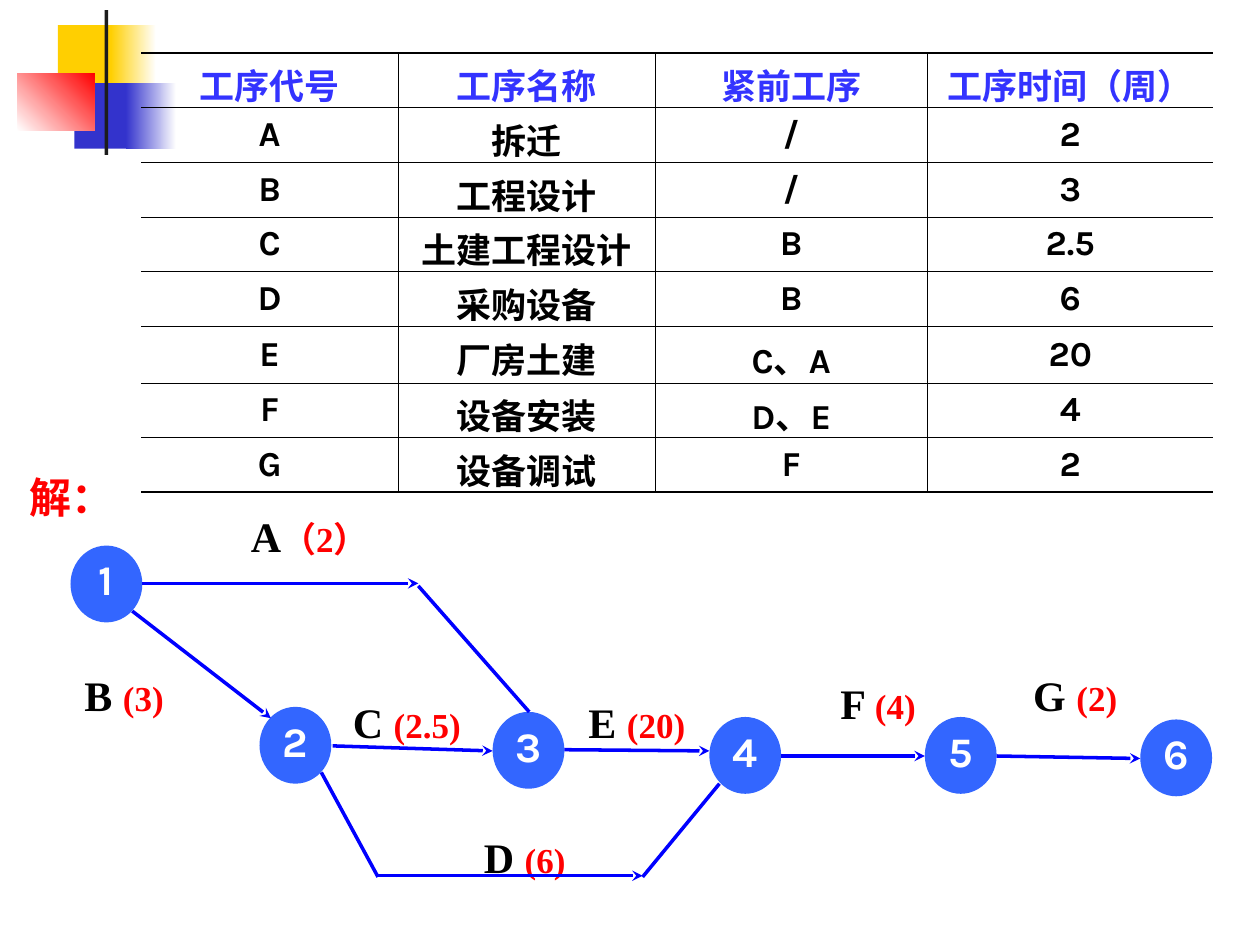
from dataclasses import dataclass

from lxml import etree
from pptx import Presentation
from pptx import util as u
from pptx.dml.color import RGBColor
from pptx.enum import shapes, text
from pptx.oxml import ns


@dataclass(frozen=True)
class Theme:
    black: str = "000000"
    white: str = "FFFFFF"
    red: str = "FF0000"
    yellow: str = "FFCF01"
    indigo: str = "3333CC"
    bar: str = "1C1C1C"
    node: str = "3366FF"
    arrow: str = "0000FF"
    header: str = "3333FF"
    sans: str = "Karla"
    serif: str = "Times New Roman"
    large: int = 24
    small: int = 20
    arrow_width: float = 2
    thin: float = 0.45
    thick: float = 1.08


COLUMNS, ROWS = 100, 75
NODE_WIDTH, NODE_HEIGHT = 5.7, 6.1
LABEL_HEIGHT = 6.4


def apply(target, values):
    for key, value in values.items():
        setattr(target, key, value)


def child(parent, tag, **attributes):
    return etree.SubElement(parent, ns.qn(tag), attributes)


class Board:
    def __init__(self, deck, theme):
        self.theme = theme
        self.column = deck.slide_width / COLUMNS
        self.row = deck.slide_height / ROWS
        self.slide = deck.slides.add_slide(deck.slide_layouts[6])

    def x(self, columns):
        return round(columns * self.column)

    def y(self, rows):
        return round(rows * self.row)

    def area(self, left, top, width, height):
        return self.x(left), self.y(top), self.x(width), self.y(height)

    def frame(self, frame, **values):
        margins = dict.fromkeys(("margin_left", "margin_right", "margin_top", "margin_bottom"), 0)
        apply(frame, margins | values)

    def words(self, paragraph, wording, color, size, font):
        run = paragraph.add_run()
        run.text = wording
        apply(run.font, {"name": font, "size": u.Pt(size), "bold": True})
        run.font.color.rgb = RGBColor.from_string(color)

    def shape(self, place, color, fade_to=None, angle=0, kind=shapes.MSO_SHAPE.RECTANGLE):
        shape = self.slide.shapes.add_shape(kind, *self.area(*place))
        shape.shadow.inherit = False
        shape.line.fill.background()
        if fade_to:
            shape.fill.gradient()
            shape.fill.gradient_angle = angle
            for stop, tint, position in zip(shape.fill.gradient_stops, (color, fade_to), (0, 1)):
                stop.color.rgb = RGBColor.from_string(tint)
                stop.position = position
        else:
            shape.fill.solid()
            shape.fill.fore_color.rgb = RGBColor.from_string(color)
        return shape

    def node(self, number, left, top):
        theme = self.theme
        place = left, top, NODE_WIDTH, NODE_HEIGHT
        node = self.shape(place, theme.node, kind=shapes.MSO_SHAPE.OVAL)
        self.frame(node.text_frame, margin_bottom=self.y(0.8), word_wrap=False,
                   vertical_anchor=text.MSO_ANCHOR.MIDDLE)
        paragraph = node.text_frame.paragraphs[0]
        paragraph.alignment = text.PP_ALIGN.CENTER
        self.words(paragraph, str(number), theme.white, theme.large, theme.sans)

    def label(self, activity, weeks, left, top, width):
        theme = self.theme
        box = self.slide.shapes.add_textbox(*self.area(left, top, width, LABEL_HEIGHT))
        self.frame(box.text_frame, margin_top=self.y(0.4), word_wrap=True)
        paragraph = box.text_frame.paragraphs[0]
        self.words(paragraph, activity, theme.black, theme.large, theme.serif)
        self.words(paragraph, weeks, theme.red, theme.small, theme.serif)

    def heading(self, wording, place):
        theme = self.theme
        box = self.slide.shapes.add_textbox(*self.area(*place))
        self.frame(box.text_frame, margin_bottom=self.y(0.8), word_wrap=False)
        paragraph = box.text_frame.paragraphs[0]
        paragraph.alignment = text.PP_ALIGN.CENTER
        self.words(paragraph, wording, theme.red, theme.large, theme.sans)

    def edge(self, start, end, arrow=True):
        edge = self.slide.shapes.add_connector(
            shapes.MSO_CONNECTOR.STRAIGHT,
            self.x(start[0]), self.y(start[1]), self.x(end[0]), self.y(end[1]))
        edge.line.color.rgb = RGBColor.from_string(self.theme.arrow)
        edge.line.width = u.Pt(self.theme.arrow_width)
        if arrow:
            child(edge.get_or_add_ln(), "a:tailEnd", type="stealth")
        child(edge._element.spPr, "a:effectLst")

    def border(self, cell, side, width):
        properties = cell._tc.get_or_add_tcPr()
        line = child(properties, f"a:ln{side}", w=str(u.Pt(width)))
        if width:
            child(child(line, "a:solidFill"), "a:srgbClr", val=self.theme.black)
        else:
            child(line, "a:noFill")

    def table(self, records, place, widths, heights):
        theme = self.theme
        table = self.slide.shapes.add_table(
            len(records), len(widths), *self.area(*place)).table
        apply(table, {"first_row": False, "horz_banding": False})
        for column, width in zip(table.columns, widths):
            column.width = self.x(width)
        for row, height in zip(table.rows, heights):
            row.height = self.y(height)
        last_row, last_column = len(records) - 1, len(widths) - 1
        for r, record in enumerate(records):
            for c, wording in enumerate(record):
                cell = table.cell(r, c)
                sides = {
                    "L": theme.thin if c else 0,
                    "R": theme.thin if c < last_column else 0,
                    "T": theme.thin if r else theme.thick,
                    "B": theme.thin if r < last_row else theme.thick,
                }
                for side, width in sides.items():
                    self.border(cell, side, width)
                cell.fill.background()
                cell.vertical_anchor = text.MSO_ANCHOR.MIDDLE
                paragraph = cell.text_frame.paragraphs[0]
                paragraph.alignment = text.PP_ALIGN.CENTER
                color = theme.black if r else theme.header
                self.words(paragraph, wording, color, theme.small, theme.sans)


ACTIVITIES = [
    ("工序代号", "工序名称", "紧前工序", "工序时间（周）"),
    ("A", "拆迁", "/", "2"),
    ("B", "工程设计", "/", "3"),
    ("C", "土建工程设计", "B", "2.5"),
    ("D", "采购设备", "B", "6"),
    ("E", "厂房土建", "C、A", "20"),
    ("F", "设备安装", "D、E", "4"),
    ("G", "设备调试", "F", "2"),
]
EVENTS = [(5.6, 43.3), (20.6, 56.1), (39.1, 56.5), (56.3, 56.9), (73.4, 56.9), (90.5, 57.1)]
DURATIONS = [
    ("A", "（2）", 19.9, 40.1, 10.1), ("B ", "(3)", 6.7, 52.7, 9.3),
    ("C ", "(2.5)", 28, 54.9, 10.5), ("D ", "(6)", 38.4, 65.6, 9),
    ("E ", "(20)", 46.7, 54.9, 8.5), ("F ", "(4)", 66.7, 53.4, 6.7),
    ("G ", "(2)", 82, 52.7, 8.5),
]
ARROWS = [
    ((10.5, 48.5), (21.5, 57)), ((26.4, 59.2), (39.1, 59.6)),
    ((62, 60), (73.4, 60)), ((79.1, 60), (90.5, 60.2)),
    ((30, 69.5), (51, 69.5)), ((11.3, 46.3), (33.2, 46.3)),
    ((44.8, 59.5), (56.3, 59.6)),
]
BENDS = [((51, 69.6), (57.1, 62.2)), ((25.5, 61.3), (30, 69.6)), ((33.2, 46.5), (42, 56.5))]


def main():
    deck = Presentation()
    apply(deck, {"slide_width": u.Inches(10), "slide_height": u.Inches(7.5)})
    theme = Theme()
    board = Board(deck, theme)
    board.shape((4.6, 2, 4.8, 5.2), theme.yellow)
    board.shape((8.8, 2, 3.6, 5.2), theme.yellow, theme.white)
    board.shape((5.9, 6.6, 4.6, 5.2), theme.indigo)
    board.shape((10, 6.6, 4, 5.2), theme.indigo, theme.white)
    board.shape((1.4, 5.8, 6.1, 4.6), theme.white, theme.red, angle=45)
    board.shape((8.3, 0.8, 0.3, 11.5), theme.bar)
    for number, event in enumerate(EVENTS, 1):
        board.node(number, *event)
    for duration in DURATIONS:
        board.label(*duration)
    for start, end in ARROWS:
        board.edge(start, end)
    for start, end in BENDS:
        board.edge(start, end, arrow=False)
    board.table(ACTIVITIES, (11.2, 4.2, 85.1, 33.4), (20.4, 20.4, 21.6, 22.7),
                [4.5 if record[0] == "E" else 4.1 for record in ACTIVITIES])
    board.heading("解：", (2.3, 37.4, 6.7, 4.8))
    deck.save("out.pptx")


if __name__ == "__main__":
    main()
